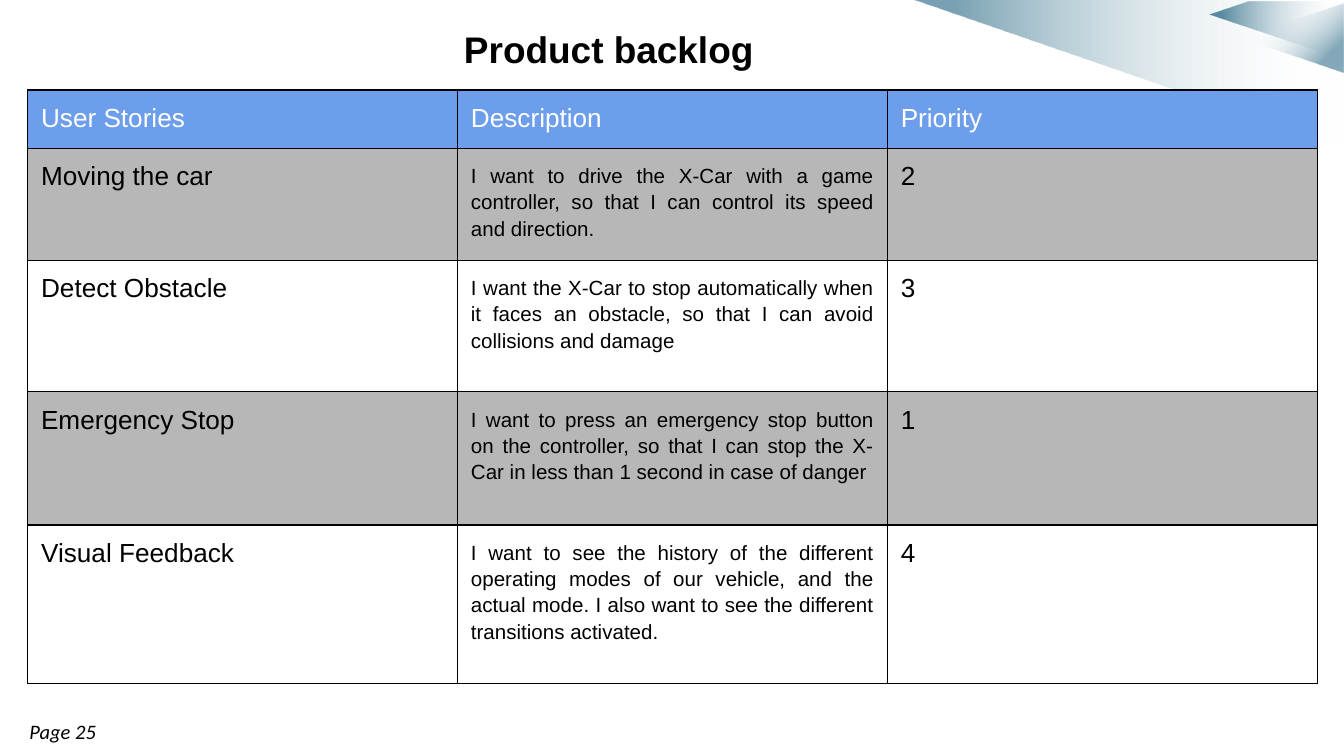
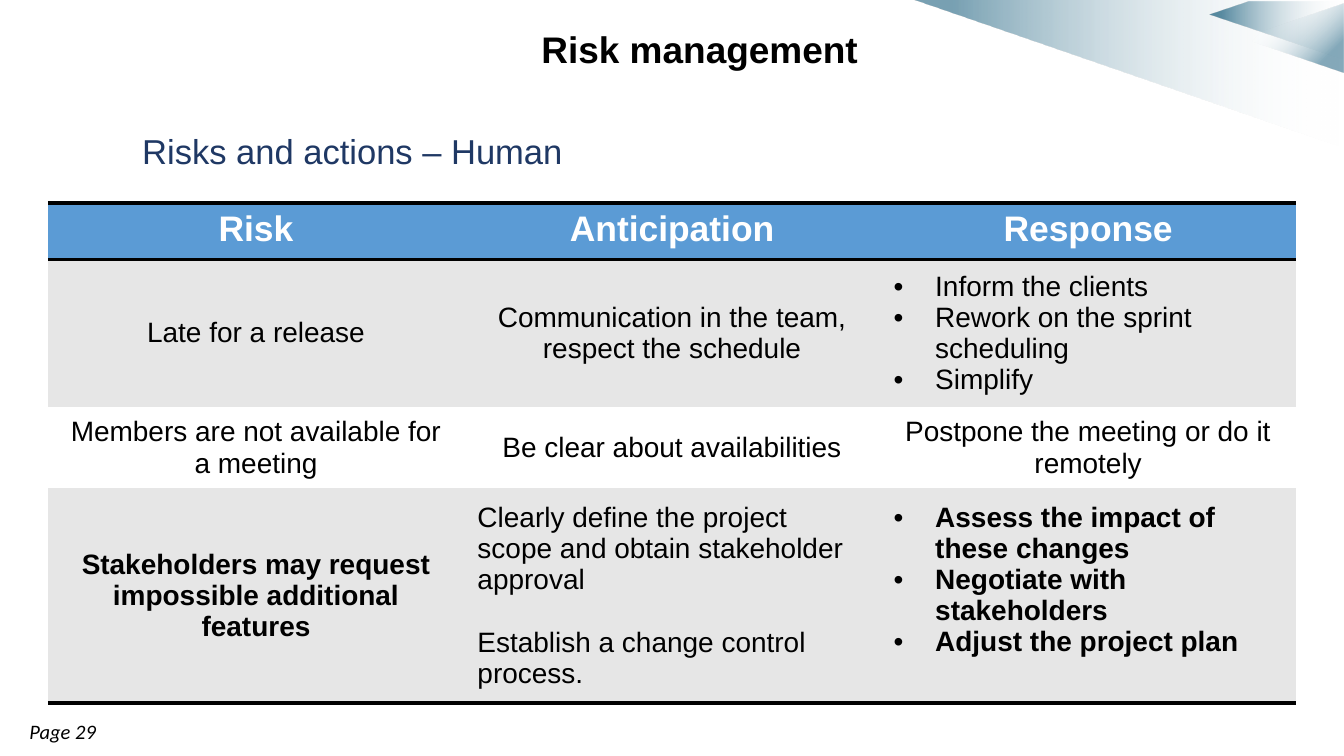
import pptx
import pptx.dml.color
import pptx.enum.shapes
import pptx.enum.text
import pptx.oxml
import pptx.oxml.ns
import pptx.util

Pt = pptx.util.Pt
ALIGN = pptx.enum.text.PP_ALIGN
ANCHOR = pptx.enum.text.MSO_ANCHOR
NAMESPACE = pptx.oxml.ns.nsdecls("a")

# Colours
BLACK, WHITE, NAVY, TEAL = "000000", "FFFFFF", "1F3864", "004D6F"
BACKLOG_HEADER, BACKLOG_BAND = "6D9EEB", "B7B7B7"
RISK_HEADER, RISK_BAND = "5B9BD5", "E6E6E6"

PLAIN_TABLE_STYLE = "{2D5ABB26-0587-4C30-8999-92F81FD0307C}"
TITLE_FONT = {"size": Pt(19.8), "bold": True}
BULLET_INDENT = Pt(22.3)


def color(hex_value):
    return pptx.dml.color.RGBColor.from_string(hex_value)


def fade(strength, white_until, tint_from):
    """Gradient stops (position, colour, opacity) from clear white to teal."""
    return [(0, WHITE, 0), (white_until, WHITE, 0),
            (tint_from, TEAL, strength), (100, TEAL, strength)]


class Slides:
    """Holds the deck, its style and the current page."""

    def __init__(self):
        self.deck = pptx.Presentation()
        self.deck.slide_width, self.deck.slide_height = Pt(720), Pt(405)
        self.page = None

    def start_page(self, number, title, title_place, title_align):
        self.page = self.deck.slides.add_slide(self.deck.slide_layouts[6])
        self.corner()
        self.text(f"Page {number}", (8.6, 381.6, 193, 20.9),
                  {"name": "Calibri", "size": Pt(11), "italic": True})
        self.text(title, title_place, TITLE_FONT,
                  {"alignment": title_align, "line_spacing": 1.15,
                   "space_after": Pt(12)})

    # Text
    def paragraphs(self, frame, lines, font, para_format=None, ink=BLACK, bullet=False):
        for index, line in enumerate(lines):
            para = frame.paragraphs[0] if index == 0 else frame.add_paragraph()
            if bullet:
                self.bullet(para)
            for name, value in (para_format or {}).items():
                if index or name != "space_before":
                    setattr(para, name, value)
            span = para.add_run()
            span.text = line
            for name, value in {"name": "Arial", "bold": False, **font}.items():
                setattr(span.font, name, value)
            span.font.color.rgb = color(ink)

    def bullet(self, para):
        properties = para._p.get_or_add_pPr()
        properties.set("marL", str(BULLET_INDENT))
        properties.set("indent", str(-BULLET_INDENT))
        for content in (f'<a:buClr {NAMESPACE}><a:srgbClr val="{BLACK}"/></a:buClr>',
                        f'<a:buFont {NAMESPACE} typeface="Arial"/>',
                        f'<a:buChar {NAMESPACE} char="•"/>'):
            properties.append(pptx.oxml.parse_xml(content))

    def text(self, line, place, font, para_format=None, ink=BLACK, **frame_format):
        box = self.page.shapes.add_textbox(*map(Pt, place))
        frame = box.text_frame
        for name, value in {"word_wrap": True, **frame_format}.items():
            setattr(frame, name, value)
        self.paragraphs(frame, [line], font, para_format, ink)

    # Corner decoration
    def gradient(self, shape, stops, angle):
        shape.shadow.inherit = False
        shape.line.fill.background()
        shape.fill.background()
        marks = "".join(
            f'<a:gs pos="{position * 1000}"><a:srgbClr val="{tint}">'
            f'<a:alpha val="{opacity * 1000}"/></a:srgbClr></a:gs>'
            for position, tint, opacity in stops)
        properties = shape._element.spPr
        properties.replace(
            properties.find(pptx.oxml.ns.qn("a:noFill")),
            pptx.oxml.parse_xml(
                f'<a:gradFill {NAMESPACE} rotWithShape="1"><a:gsLst>{marks}</a:gsLst>'
                f'<a:lin ang="{angle * 60000}" scaled="0"/></a:gradFill>'))

    def outline(self, points, stops):
        builder = self.page.shapes.build_freeform(*points[0], scale=float(Pt(1)))
        builder.add_line_segments(points[1:], close=True)
        self.gradient(builder.convert_to_shape(), stops, 180)

    def corner(self):
        self.outline([(488.9, 0), (720, 0), (719.3, 79.2)], fade(53, 1, 91))
        self.outline([(648, 7.9), (668.9, 0.7), (720, 0.7), (720, 32.4)],
                     fade(63, 1, 91))
        triangle = self.page.shapes.add_shape(
            pptx.enum.shapes.MSO_SHAPE.ISOSCELES_TRIANGLE,
            Pt(674.6), Pt(-6.5), Pt(36.7), Pt(54))
        triangle.rotation = 270
        self.gradient(triangle, fade(48, 27, 81), 135)

    # Tables
    def table(self, left, top, column_width, heights):
        frame = self.page.shapes.add_table(
            len(heights), 3, Pt(left), Pt(top), Pt(3 * column_width), Pt(sum(heights)))
        table = frame.table
        table.first_row = table.horz_banding = False
        properties = table._tbl.tblPr
        properties.find(pptx.oxml.ns.qn("a:tableStyleId")).text = PLAIN_TABLE_STYLE
        for column in table.columns:
            column.width = Pt(column_width)
        for row, height in zip(table.rows, heights):
            row.height = Pt(height)
        return table

    def cell(self, cell, lines, font, fill, sides="", width=0, cell_format=None, **style):
        properties = cell._tc.get_or_add_tcPr()
        for side in sides:
            properties.append(pptx.oxml.parse_xml(
                f'<a:ln{side} {NAMESPACE} w="{Pt(width)}"><a:solidFill>'
                f'<a:srgbClr val="{BLACK}"/></a:solidFill></a:ln{side}>'))
        if fill:
            cell.fill.solid()
            cell.fill.fore_color.rgb = color(fill)
        else:
            cell.fill.background()
        for name, value in (cell_format or {}).items():
            setattr(cell, name, value)
        self.paragraphs(cell.text_frame, lines, font, **style)


def backlog_page(slides):
    slides.start_page(25, "Product backlog", (144.7, 7.2, 362.9, 25.2), ALIGN.CENTER)
    stories = [
        ("User Stories", "Description", "Priority"),
        ("Moving the car", "I want to drive the X-Car with a game controller, so that "
         "I can control its speed and direction.", "2"),
        ("Detect Obstacle", "I want the X-Car to stop automatically when it faces an "
         "obstacle, so that I can avoid collisions and damage", "3"),
        ("Emergency Stop", "I want to press an emergency stop button on the controller, "
         "so that I can stop the X-Car in less than 1 second in case of danger", "1"),
        ("Visual Feedback", "I want to see the history of the different operating modes "
         "of our vehicle, and the actual mode. I also want to see the different "
         "transitions activated.", "4"),
    ]
    table = slides.table(14.8, 48.2, 230.3, [30.2, 56.9, 70.6, 71.3, 85])
    margins = {f"margin_{side}": Pt(7.2) for side in ("left", "right", "top", "bottom")}
    for row, story in enumerate(stories):
        header = row == 0
        fill = BACKLOG_HEADER if header else BACKLOG_BAND if row % 2 else None
        for column, line in enumerate(story):
            description = column == 1 and not header
            slides.cell(
                table.cell(row, column), [line], {"size": Pt(11 if description else 14)},
                fill, "LRTB", 0.75, margins, ink=WHITE if header else BLACK,
                para_format={"alignment": ALIGN.JUSTIFY, "line_spacing": 1.15}
                if description else None)


def risk_page(slides):
    slides.start_page(29, "Risk management", (257.8, 7.2, 208.8, 25.2), ALIGN.RIGHT)
    slides.text("Risks and actions – Human", (69.1, 46.1, 301, 54), {"size": Pt(18.5)},
                {"line_spacing": 0.9}, NAVY,
                vertical_anchor=ANCHOR.MIDDLE, margin_top=Pt(22))
    table = slides.table(25.7, 108.7, 222.9, [30.2, 79, 43.5, 115])

    for column, heading in enumerate(["Risk", "Anticipation", "Response"]):
        slides.cell(table.cell(0, column), [heading], {"size": Pt(19), "bold": True},
                    RISK_HEADER, "TB", 2, ink=WHITE,
                    para_format={"alignment": ALIGN.CENTER})

    risks = [
        (["Late for a release"],
         ["Communication in the team, respect the schedule"],
         ["Inform the clients", "Rework on the sprint scheduling", "Simplify"]),
        (["Members are not available for a meeting"],
         ["Be clear about availabilities"],
         ["Postpone the meeting or do it remotely"]),
        (["Stakeholders may request impossible additional features"],
         ["Clearly define the project scope and obtain stakeholder approval",
          "Establish a change control process."],
         ["Assess the impact of these changes", "Negotiate with stakeholders",
          "Adjust the project plan"]),
    ]
    for row, risk in enumerate(risks, 1):
        last = row == len(risks)
        for column, lines in enumerate(risk):
            several = len(lines) > 1
            bullet = several and column == 2
            cell_format = {"vertical_anchor": ANCHOR.MIDDLE}
            if last and bullet:
                cell_format["margin_bottom"] = Pt(20.4)
            para_format = {"alignment": ALIGN.LEFT if several else ALIGN.CENTER}
            if several and not bullet:
                para_format["space_before"] = Pt(16.8)
            slides.cell(
                table.cell(row, column), lines,
                {"size": Pt(15), "bold": last and column != 1},
                RISK_BAND if row % 2 else WHITE, "B" if last else "", 2, cell_format,
                para_format=para_format, bullet=bullet)


def main():
    slides = Slides()
    backlog_page(slides)
    risk_page(slides)
    slides.deck.save("out.pptx")


if __name__ == "__main__":
    main()
